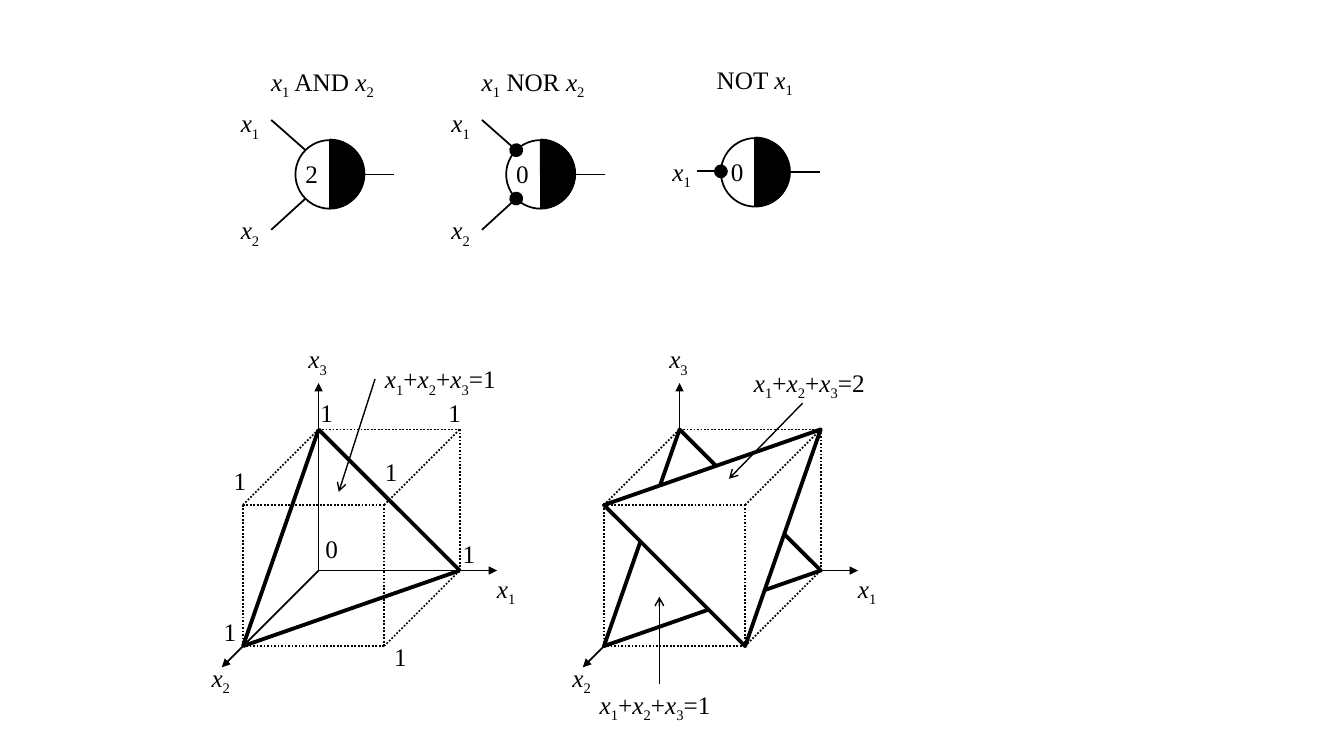
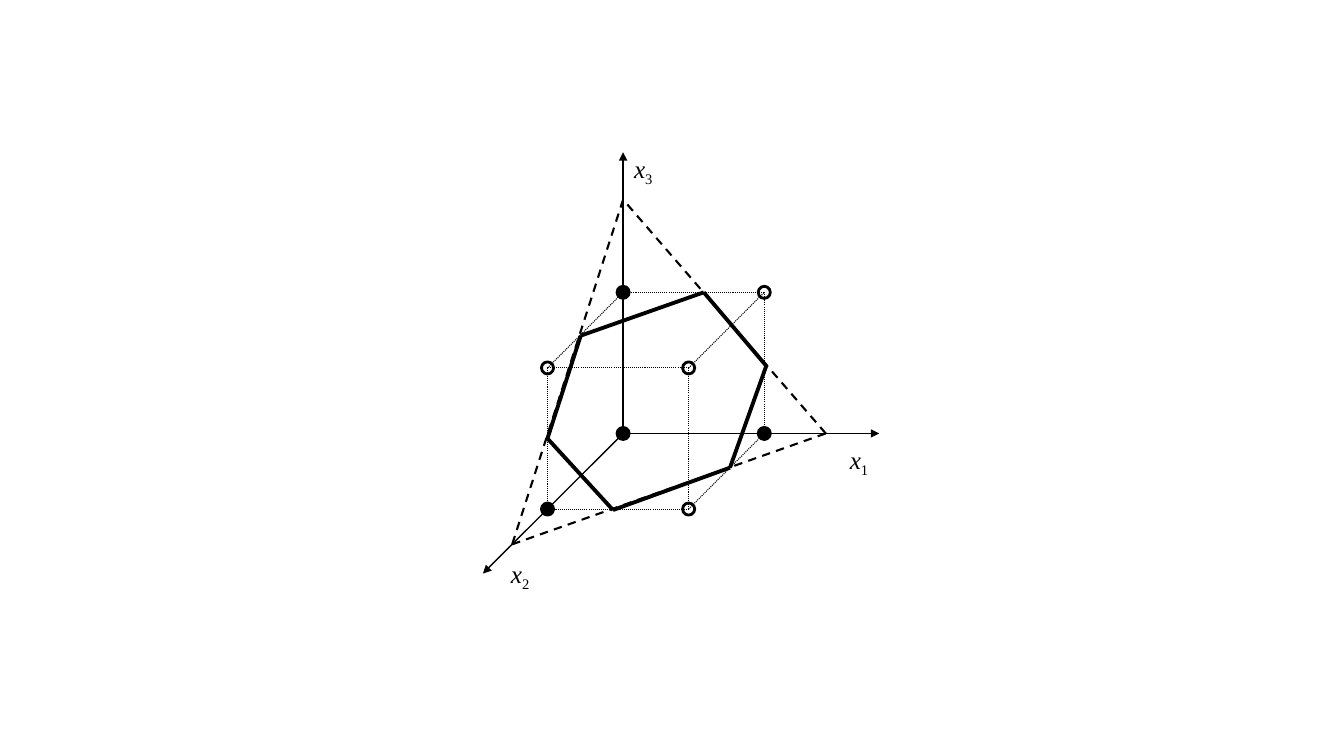
from lxml.etree import SubElement
from pptx import Presentation
from pptx.dml.color import RGBColor
from pptx.enum.dml import MSO_LINE
from pptx.enum.shapes import MSO_CONNECTOR, MSO_SHAPE
from pptx.enum.text import MSO_AUTO_SIZE
from pptx.oxml.ns import qn
from pptx.util import Pt

PX = 9144
INK = RGBColor(0, 0, 0)
PAPER = RGBColor(255, 255, 255)

FONT = {"name": "Times New Roman", "size": Pt(18), "italic": False}
FRAME = {"word_wrap": False, "auto_size": MSO_AUTO_SIZE.SHAPE_TO_FIT_TEXT}
PLAIN = {"width": Pt(1.25)}
DOTTED = {"width": Pt(1.25), "dash_style": MSO_LINE.ROUND_DOT}
FAINT = {"width": Pt(0.75), "dash_style": MSO_LINE.ROUND_DOT}
DASHED = {"width": Pt(1.5), "dash_style": MSO_LINE.DASH}
THIN = {"width": Pt(1)}
EDGE = {"width": Pt(2)}
HEAVY = {"width": Pt(2.75)}

SOLID = {"type": "triangle"}
OPEN = {"type": "arrow"}
ROUND = {"type": "oval", "w": "lg", "len": "lg"}

BACK = ["001-101", "100-101", "011-010", "110-010", "011-001"]
FRONT = ["011-111", "110-111", "111-101", "110-100"]
LOW = ["010", "001", "100"]
HIGH = ["011", "101", "110"]


def style(item, values):
    for key, value in values.items():
        setattr(item, key, value)


def ink(line, values):
    line.fill.solid()
    line.color.rgb = INK
    style(line, values)


def paint(shape, fill, values):
    shape.shadow.inherit = False
    if fill is None:
        shape.fill.background()
    else:
        shape.fill.solid()
        shape.fill.fore_color.rgb = fill
    ink(shape.line, values)


def link(group, start, end, values, tail=None):
    ends = [n * PX for n in (*start, *end)]
    line = group.shapes.add_connector(MSO_CONNECTOR.STRAIGHT, *ends)
    ink(line.line, values)
    SubElement(line._element.spPr, qn("a:effectLst"))
    if tail:
        outline = line._element.spPr.find(qn("a:ln"))
        SubElement(outline, qn("a:tailEnd"), tail)


def ring(group, points, values):
    for start, end in zip(points, points[1:] + points[:1]):
        link(group, start, end, values)


def form(group, kind, box, fill, values):
    shape = group.shapes.add_shape(kind, *[n * PX for n in box])
    paint(shape, fill, values)
    return shape


def facet(group, points):
    maker = group.shapes.build_freeform(*points[0], scale=PX)
    maker.add_line_segments(points[1:], close=True)
    paint(maker.convert_to_shape(), PAPER, HEAVY)


def split(text):
    parts = []
    after = False
    for char in text:
        kind = "var" if char == "x" else "sub" if after else "text"
        if parts and parts[-1][1] == kind:
            parts[-1][0] += char
        else:
            parts.append([char, kind])
        after = char == "x"
    return parts


def label(group, text, x, y, width=40):
    box = group.shapes.add_textbox(*[n * PX for n in (x, y, width, 40)])
    style(box.text_frame, FRAME)
    para = box.text_frame.paragraphs[0]
    for part, kind in split(text):
        run = para.add_run()
        run.text = part
        style(run.font, {**FONT, "italic": kind == "var"})
        run.font.color.rgb = INK
        if kind == "sub":
            run._r.get_or_add_rPr().set("baseline", "-25000")


def plane(group, total, x, y, start, end):
    label(group, f"x1+x2+x3={total}", x, y, 140)
    link(group, start, end, THIN, OPEN)


def gate(group, x, y, count, title, shift, width, inputs, tail=None):
    label(group, count, x, y + 13, 34)
    half = form(group, MSO_SHAPE.CHORD, (x, y, 68, 67), INK, EDGE)
    half.adjustments[0] = 162.782
    half.adjustments[1] = 52.715
    form(group, MSO_SHAPE.OVAL, (x, y, 68, 68), None, PLAIN)
    link(group, (x + 68, y + 34), (x + 98, y + 34), PLAIN)
    link(group, (x + 34, y - 1), (x + 34, y + 67), PLAIN)
    label(group, title, x + shift, y - 78, width)
    for name, left, top, start, end in inputs:
        label(group, name, x + left, y + top)
        link(group, (x - 24, y + start), (x + end[0], y + end[1]), PLAIN, tail)


def spot(base, code):
    a, b, c = map(int, code)
    return base[0] + 140 * a - 75 * b, base[1] + 75 * b - 140 * c


def spots(base, codes):
    return [spot(base, code) for code in codes]


def edges(group, base, pairs, values):
    for pair in pairs:
        link(group, *spots(base, pair.split("-")), values)


def axes(group, base, sizes, places, values):
    x, y = base
    right, slant, up = sizes
    tips = [(x + right, y), (x - slant, y + slant), (x, y - up)]
    for index, (tip, place) in enumerate(zip(tips, places), 1):
        link(group, base, tip, values, SOLID)
        label(group, f"x{index}", x + place[0], y + place[1])


def gates(slide):
    pair = [("x1", -64, -37, -20, (10, 10)), ("x2", -64, 69, 89, (10, 58))]
    single = [("x1", -58, 13, 33, (0, 33))]
    for row in [
        (293, 139, "2", "x1 AND x2", -34, 130, pair),
        (502, 139, "0", "x1 NOR x2", -34, 130, pair, ROUND),
        (715, 137, "0", "NOT x1", -14, 98, single, ROUND),
    ]:
        gate(slide.shapes.add_group_shape(), *row)


def cubes(slide):
    sizes = (177, 96, 186)
    places = [(167, -2), (-116, 86), (-20, -230)]

    base = (316, 566)
    group = slide.shapes.add_group_shape()
    edges(group, base, BACK + FRONT, DOTTED)
    axes(group, base, sizes, places, PLAIN)
    ring(group, spots(base, LOW), HEAVY)
    label(group, "0", 313, 524, 33)
    for x, y in [(308, 389), (435, 389), (449, 529), (381, 631),
                 (212, 607), (222, 457), (372, 448)]:
        label(group, "1", x, y, 33)
    plane(group, 1, 372, 356, (372, 376), (336, 488))

    base = (674, 566)
    group = slide.shapes.add_group_shape()
    edges(group, base, BACK, DOTTED)
    axes(group, base, sizes, places, PLAIN)
    facet(group, spots(base, LOW))
    facet(group, spots(base, HIGH))
    edges(group, base, FRONT, DOTTED)
    plane(group, 1, 585, 679, (654, 679), (654, 592))
    plane(group, 2, 738, 359, (796, 400), (723, 475))


def cut(slide):
    base = (618, 430)
    group = slide.shapes.add_group_shape()
    edges(group, base, BACK + FRONT, FAINT)
    axes(group, base, (254, 139, 279),
         [(215, 6), (-121, 119), (1, -283)], THIN)
    for codes, fill in [(["000"] + LOW, INK), (["111"] + HIGH, None)]:
        for x, y in spots(base, codes):
            form(group, MSO_SHAPE.OVAL, (x - 6, y - 6, 12, 12), fill, EDGE)
    ring(group, [(618, 198), (508, 540), (819, 430)], DASHED)
    ring(group, [(576, 333), (698, 290), (760, 363),
                 (724, 464), (608, 506), (543, 435)], HEAVY)


def main():
    deck = Presentation()
    deck.slide_width = 1333 * PX
    deck.slide_height = 750 * PX
    blank = deck.slide_layouts[6]
    first = deck.slides.add_slide(blank)
    cubes(first)
    gates(first)
    cut(deck.slides.add_slide(blank))
    deck.save("out.pptx")


if __name__ == "__main__":
    main()
